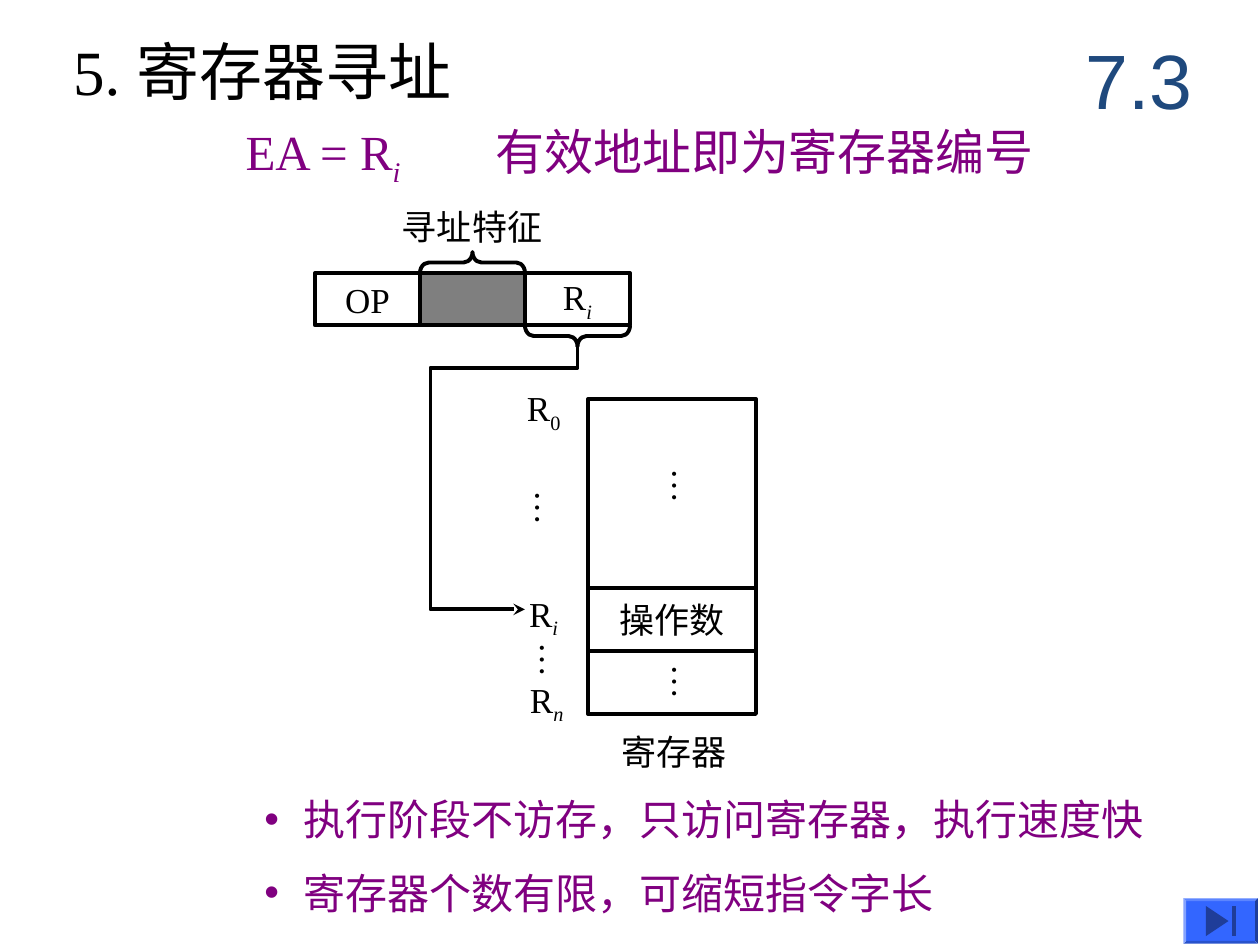
from lxml import etree
from pptx import Presentation
from pptx.dml.color import RGBColor
from pptx.enum.shapes import MSO_SHAPE
from pptx.enum.text import MSO_ANCHOR, MSO_AUTO_SIZE, PP_ALIGN
from pptx.oxml.ns import qn
from pptx.util import Inches, Pt

RECT, BRACE = MSO_SHAPE.RECTANGLE, MSO_SHAPE.LEFT_BRACE
TOP, MID = MSO_ANCHOR.TOP, MSO_ANCHOR.MIDDLE
LEFT, MIDST = PP_ALIGN.LEFT, PP_ALIGN.CENTER
FIXED = MSO_AUTO_SIZE.NONE
THEME = {
    "serif": "Times New Roman", "sans": "Arial",
    "ink": "000000", "note": "800080", "mark": "1F497D",
    "face": "3366FF", "lit": "5C85FF", "pale": "85A3FF",
    "dim": "2952CC", "dark": "1F3D99",
    "head": 36, "page": 44, "rule": 28, "point": 24, "label": 20, "line": 2.25,
}

deck = Presentation()
deck.slide_width, deck.slide_height = Inches(10), Inches(7.5)
UNIT = deck.slide_width // 120
slide = deck.slides.add_slide(deck.slide_layouts[5])
shapes = slide.shapes


def write(frame, parts, size="label", tint="ink", face="serif", align=LEFT, anchor=TOP, wrap=False):
    frame.word_wrap = wrap
    frame.auto_size = FIXED
    frame.vertical_anchor = anchor
    para = frame.paragraphs[0]
    para.alignment = align
    for i, part in enumerate(parts):
        run = para.add_run()
        run.text = part
        font = run.font
        font.name, font.size = THEME[face], Pt(THEME[size])
        font.color.rgb = RGBColor.from_string(THEME[tint])
        if i == 1:
            font.italic = part.isalpha()
            font._element.set("baseline", "-25000")
    return para


def poly(spots, close):
    spots = [(int(x * UNIT), int(y * UNIT)) for x, y in spots]
    pen = shapes.build_freeform(*spots[0])
    pen.add_line_segments(spots[1:], close=close)
    form = pen.convert_to_shape()
    form.shadow.inherit = False
    return form


title = shapes.title
title.left, title.top, title.width, title.height = [int(n * UNIT) for n in (5.76, 2.54, 45.24, 8.4)]
write(title.text_frame, ["5. 寄存器寻址"], "head", wrap=True)

cells = [
    (30, 26, 10, 5, ["OP"]), (40, 26, 10, 5, []), (50, 26, 10, 5, ["R", "i"]),
    (56, 38, 16, 18, []), (56, 56, 16, 6, ["操作数"]), (56, 62, 16, 6, []),
]
for x, y, w, h, parts in cells:
    cell = shapes.add_shape(RECT, x * UNIT, y * UNIT, w * UNIT, h * UNIT)
    cell.shadow.inherit = False
    cell.fill.background()
    cell.line.color.rgb = RGBColor.from_string(THEME["ink"])
    cell.line.width = Pt(THEME["line"])
    if parts:
        write(cell.text_frame, parts, align=MIDST, anchor=MID)
    if x == 40:
        cell.fill.solid()
        cell.fill.fore_color.rgb = RGBColor.from_string(THEME["ink"])
        tone = cell._element.spPr.find(qn("a:solidFill"))[0]
        etree.SubElement(tone, qn("a:alpha")).set("val", "50000")

strokes = []
for x, y, turn in ((44, 20, 90), (54, 27, 270)):
    brace = shapes.add_shape(BRACE, x * UNIT, y * UNIT, 2 * UNIT, 10 * UNIT)
    brace.rotation = turn
    brace.adjustments[0] = 0.42
    brace.shadow.inherit = False
    strokes.append(brace)
route = poly([(55, 33), (55, 35.04), (41, 35.04), (41, 58.04), (50, 58.04)], False)
strokes.append(route)
for stroke in strokes:
    stroke.fill.background()
    stroke.line.color.rgb = RGBColor.from_string(THEME["ink"])
    stroke.line.width = Pt(THEME["line"])
tip = etree.SubElement(route.line._get_or_add_ln(), qn("a:tailEnd"))
tip.set("type", "stealth")

labels = [
    (22.2, 11, 17.4, 7.6, ["EA = R", "i"], "rule", "note"),
    (46, 11, 58, 6.8, ["有效地址即为寄存器编号"], "rule", "note"),
    (37.1, 19, 15.7, 5.3, ["寻址特征"], "label", "ink"),
    (49, 36.2, 5.5, 5.8, ["R", "0"], "label", "ink"),
    (49.2, 55.8, 5.2, 5.8, ["R", "i"], "label", "ink"),
    (49.3, 64, 5.5, 5.8, ["R", "n"], "label", "ink"),
    (58, 69, 16, 5.3, ["寄存器"], "label", "ink"),
]
for x, y, w, h, parts, size, tint in labels:
    box = shapes.add_textbox(int(x * UNIT), int(y * UNIT), int(w * UNIT), int(h * UNIT))
    write(box.text_frame, parts, size, tint)

for x, y in ((61.6, 43.45), (61.6, 62.1), (48.55, 45.55), (49, 59.95)):
    box = shapes.add_textbox(int(x * UNIT), int(y * UNIT), int(6.4 * UNIT), int(4.6 * UNIT))
    frame = box.text_frame
    frame.margin_left = frame.margin_right = Inches(0.05)
    frame.margin_top = frame.margin_bottom = Inches(0.1)
    frame._txBody.bodyPr.set("vert", "eaVert")
    write(frame, ["…"])

points = ["执行阶段不访存，只访问寄存器，执行速度快", "寄存器个数有限，可缩短指令字长"]
for i, point in enumerate(points):
    box = shapes.add_textbox(24 * UNIT, (75 + 7 * i) * UNIT, 89 * UNIT, 6 * UNIT)
    para = write(box.text_frame, [point], "point", "note", wrap=True)
    props = para._p.get_or_add_pPr()
    props.set("marL", str(Inches(0.31)))
    props.set("indent", str(-Inches(0.31)))
    etree.SubElement(props, qn("a:buFont")).set("typeface", THEME["sans"])
    etree.SubElement(props, qn("a:buChar")).set("char", "•")

box = shapes.add_textbox(101 * UNIT, 2 * UNIT, 15 * UNIT, 11 * UNIT)
write(box.text_frame, ["7.3"], "page", "mark", "sans", MIDST, MID, True)

l, t, r, b, rim = 112.7, 85.56, 119.8, 89.88, 0.27
outer = [(l, t), (r, t), (r, b), (l, b)]
inner = [(l + rim, t + rim), (r - rim, t + rim), (r - rim, b - rim), (l + rim, b - rim)]
parts = [(inner, "face")]
for i, tint in enumerate(("lit", "dark", "dim", "pale")):
    j = (i + 1) % 4
    parts.append(([outer[i], outer[j], inner[j], inner[i]], tint))
parts.append(([(117, 87.72), (114.84, 89.16), (114.84, 86.28)], "dark"))
parts.append(([(117.36, 86.28), (117.36, 89.16), (117.72, 89.16), (117.72, 86.28)], "dark"))
for spots, tint in parts:
    form = poly(spots, True)
    form.fill.solid()
    form.fill.fore_color.rgb = RGBColor.from_string(THEME[tint])
    form.line.fill.background()

deck.save("out.pptx")
